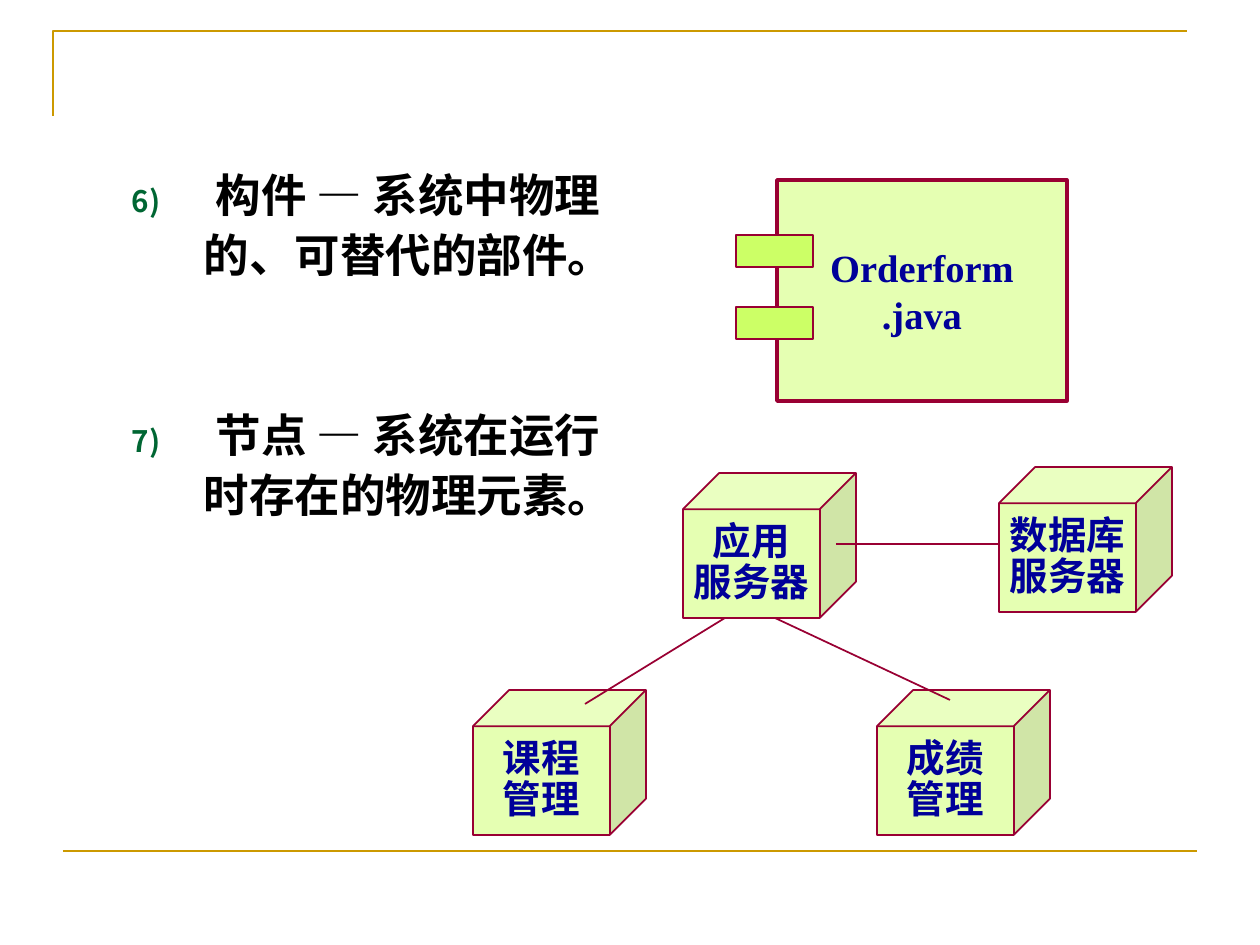
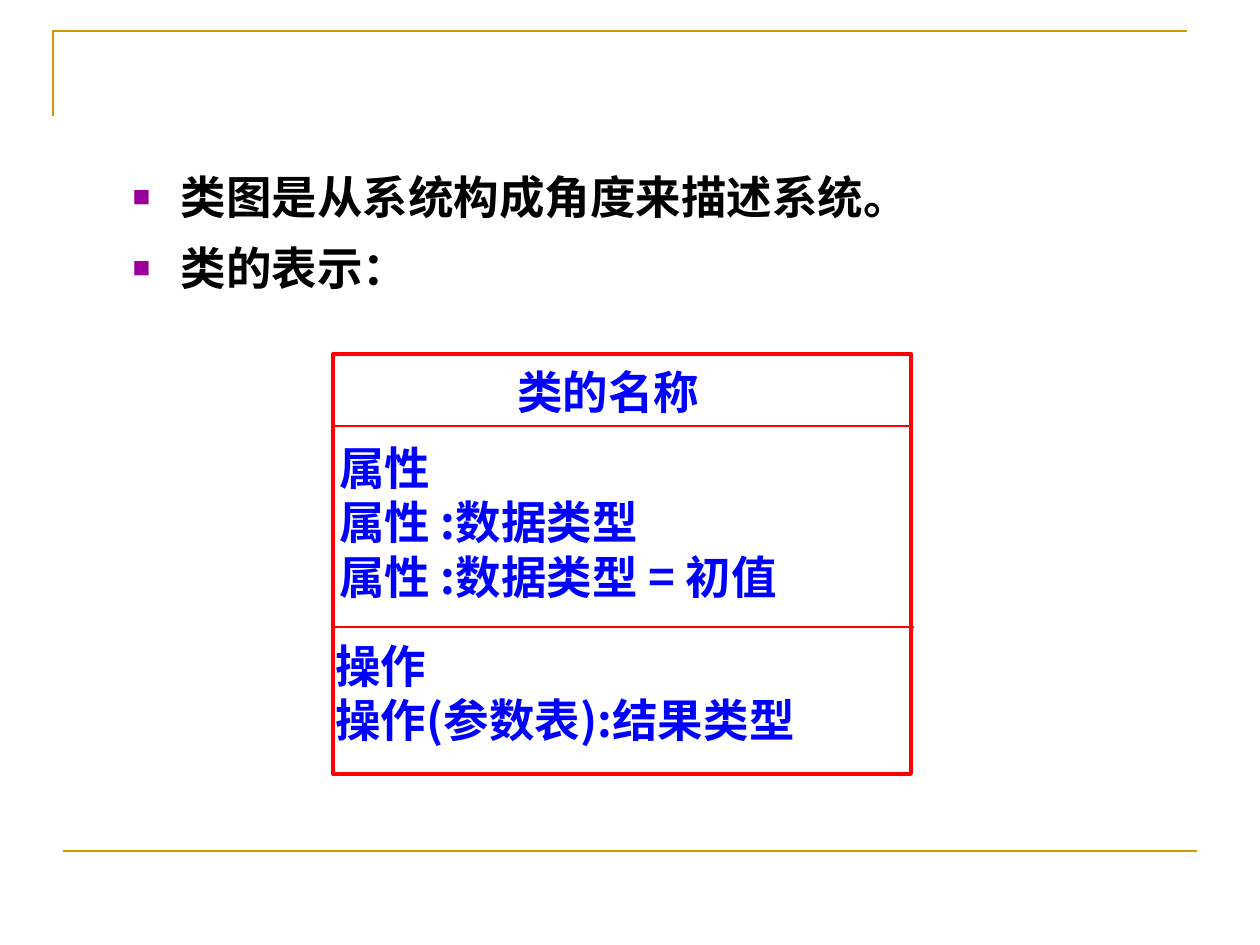
from lxml import etree
from pptx import Presentation
from pptx import util as u
from pptx.dml.color import RGBColor
from pptx.enum import shapes, text
from pptx.oxml.ns import qn

PX = 7257  # EMU per px, 126 px to the inch
COLORS = {
    "frame": "CC9900", "body": "000000", "number": "006633", "square": "990099",
    "lime": "CCFF66", "wine": "990033", "navy": "000099",
    "red": "FF0000", "blue": "0000FF", "white": "FFFFFF",
}
CJK = "Noto Sans CJK SC"
BODY = {"name": "Arial", "size": u.Pt(26), "bold": True, "color": "body"}
NODE = {"name": "Arial", "size": u.Pt(22), "bold": True, "color": "navy"}
COMPONENT = NODE | {"name": "Times New Roman"}
MEMBER = {"name": CJK, "size": u.Pt(26), "bold": True, "color": "blue"}
CLASS_NAME = MEMBER | {"name": "Times New Roman"}


def write(tf, lines, fmt, align=None, spacing=1.0):
    """Fill a text frame with one formatted paragraph per line."""
    for i, line in enumerate(lines):
        p = tf.paragraphs[0] if i == 0 else tf.add_paragraph()
        p.alignment, p.line_spacing, p.space_before = align, spacing, u.Pt(0)
        r = p.add_run()
        r.text = line
        for key, value in fmt.items():
            if key == "color":
                r.font.color.rgb = RGBColor.from_string(COLORS[value])
            else:
                setattr(r.font, key, value)
        etree.SubElement(r.font._element, qn("a:ea"), typeface=CJK)


def connect(parent, ends, color, width):
    """Draw a straight line without shadow between two px points."""
    line = parent.add_connector(shapes.MSO_CONNECTOR.STRAIGHT, *[v * PX for v in ends])
    line.line.color.rgb = RGBColor.from_string(COLORS[color])
    line.line.width = u.Pt(width)
    etree.SubElement(line.element.spPr, qn("a:effectLst"))
    return line


prs = Presentation()
prs.slide_width, prs.slide_height = u.Inches(10), u.Inches(7.5)
layout = prs.slide_layouts[1]
slides = [prs.slides.add_slide(layout) for _ in range(2)]

# Frame shared by all slides, placed on the layout
s = slides[0]
builder = s.shapes.build_freeform(53, 116, scale=PX)
builder.add_line_segments([(53, 31), (1187, 31)], close=False)
corner = builder.convert_to_shape()
corner.fill.background()
corner.shadow.inherit = False
corner.line.color.rgb = RGBColor.from_string(COLORS["frame"])
corner.line.width = u.Pt(1.5)
footer_rule = connect(s.shapes, (63, 851, 1197, 851), "frame", 1.5)
for part in (corner, footer_rule):
    layout.shapes.element.append(part.element)

# Body lists: box, and per line (text, indent px, bullet, space before pt)
bodies = [
    ((119, 155, 1058, 702), "number", [
        ("构件 — 系统中物理", 84, 6, 0),
        ("的、可替代的部件。", 72, None, 0),
        ("节点 — 系统在运行", 84, 7, 68.5),
        ("时存在的物理元素。", 72, None, 0)]),
    ((120, 157, 1057, 195), "square", [
        ("类图是从系统构成角度来描述系统。", 48, "■", 0),
        ("类的表示：", 48, "■", 6.5)]),
]
for s, (box, bullet_color, items) in zip(slides, bodies):
    s.shapes.title.element.getparent().remove(s.shapes.title.element)
    body = s.placeholders[1]
    body.left, body.top, body.width, body.height = [v * PX for v in box]
    tf = body.text_frame
    tf.auto_size = text.MSO_AUTO_SIZE.NONE
    tf.vertical_anchor = text.MSO_ANCHOR.TOP
    write(tf, [item[0] for item in items], BODY, spacing=1.1)
    for p, (_, indent, bullet, before) in zip(tf.paragraphs, items):
        p.space_before = u.Pt(before)
        pPr = p._p.get_or_add_pPr()
        pPr.set("marL", str(indent * PX))
        pPr.set("indent", str(-indent * PX if bullet else 0))
        if bullet is None:
            etree.SubElement(pPr, qn("a:buNone"))
            continue
        color = etree.SubElement(pPr, qn("a:buClr"))
        etree.SubElement(color, qn("a:srgbClr"), val=COLORS[bullet_color])
        etree.SubElement(pPr, qn("a:buSzPct"), val="65000")
        etree.SubElement(pPr, qn("a:buFont"), typeface="Arial" if bullet == "■" else CJK)
        if bullet == "■":
            etree.SubElement(pPr, qn("a:buChar"), char=bullet)
        else:
            etree.SubElement(pPr, qn("a:buAutoNum"), type="arabicParenR", startAt=str(bullet))

# Slide 1: component and deployment nodes
component = slides[0].shapes.add_group_shape().shapes
nodes = slides[0].shapes.add_group_shape().shapes
RECT, CUBE = shapes.MSO_SHAPE.RECTANGLE, shapes.MSO_SHAPE.CUBE
blocks = [(component, RECT, (777, 180, 290, 221), 2, COMPONENT, 1.0, ["Orderform", ".java"])]
blocks += [(component, RECT, (736, y, 77, 32), 1, None, 1.0, []) for y in (235, 307)]
blocks += [(nodes, CUBE, (x, y, 173, 145), 1, NODE, 0.9, lines) for x, y, lines in (
    (999, 467, ["数据库", "服务器"]),
    (683, 473, ["应用", "服务器"]),
    (473, 690, ["课程", "管理"]),
    (877, 690, ["成绩", "管理"]))]
for parent, kind, box, width, fmt, spacing, lines in blocks:
    sp = parent.add_shape(kind, *[v * PX for v in box])
    sp.shadow.inherit = False
    sp.fill.solid()
    sp.fill.fore_color.rgb = RGBColor.from_string(COLORS["lime"])
    sp.line.color.rgb = RGBColor.from_string(COLORS["wine"])
    sp.line.width = u.Pt(width)
    if lines:
        fill_color = sp.element.spPr.find(qn("a:solidFill")).find(qn("a:srgbClr"))
        etree.SubElement(fill_color, qn("a:alpha"), val="50000")
        tf = sp.text_frame
        tf.word_wrap = False
        tf.vertical_anchor = text.MSO_ANCHOR.MIDDLE
        write(tf, lines, fmt, text.PP_ALIGN.CENTER, spacing)
for ends in ((836, 544, 998, 544), (725, 618, 585, 704), (775, 618, 950, 700)):
    connect(nodes, ends, "wine", 1)

# Slide 2: class notation
class_box = slides[1].shapes.add_group_shape().shapes
sp = class_box.add_shape(RECT, *[v * PX for v in (333, 354, 578, 420)])
sp.shadow.inherit = False
sp.fill.solid()
sp.fill.fore_color.rgb = RGBColor.from_string(COLORS["white"])
sp.line.color.rgb = RGBColor.from_string(COLORS["red"])
sp.line.width = u.Pt(2.25)
for ends in ((333, 426, 911, 426), (335, 627, 914, 627)):
    connect(class_box, ends, "red", 1.5)
compartments = [
    ((485, 357, 247, 68), CLASS_NAME, text.PP_ALIGN.CENTER, ["类的名称"]),
    ((327, 433, 547, 177), MEMBER, text.PP_ALIGN.LEFT,
     ["属性", "属性 :数据类型", "属性 :数据类型 = 初值"]),
    ((323, 631, 547, 123), MEMBER, text.PP_ALIGN.LEFT, ["操作", "操作(参数表):结果类型"]),
]
for box, fmt, align, lines in compartments:
    tf = class_box.add_textbox(*[v * PX for v in box]).text_frame
    tf.word_wrap = True
    tf.vertical_anchor = text.MSO_ANCHOR.MIDDLE
    write(tf, lines, fmt, align)

prs.save("out.pptx")
